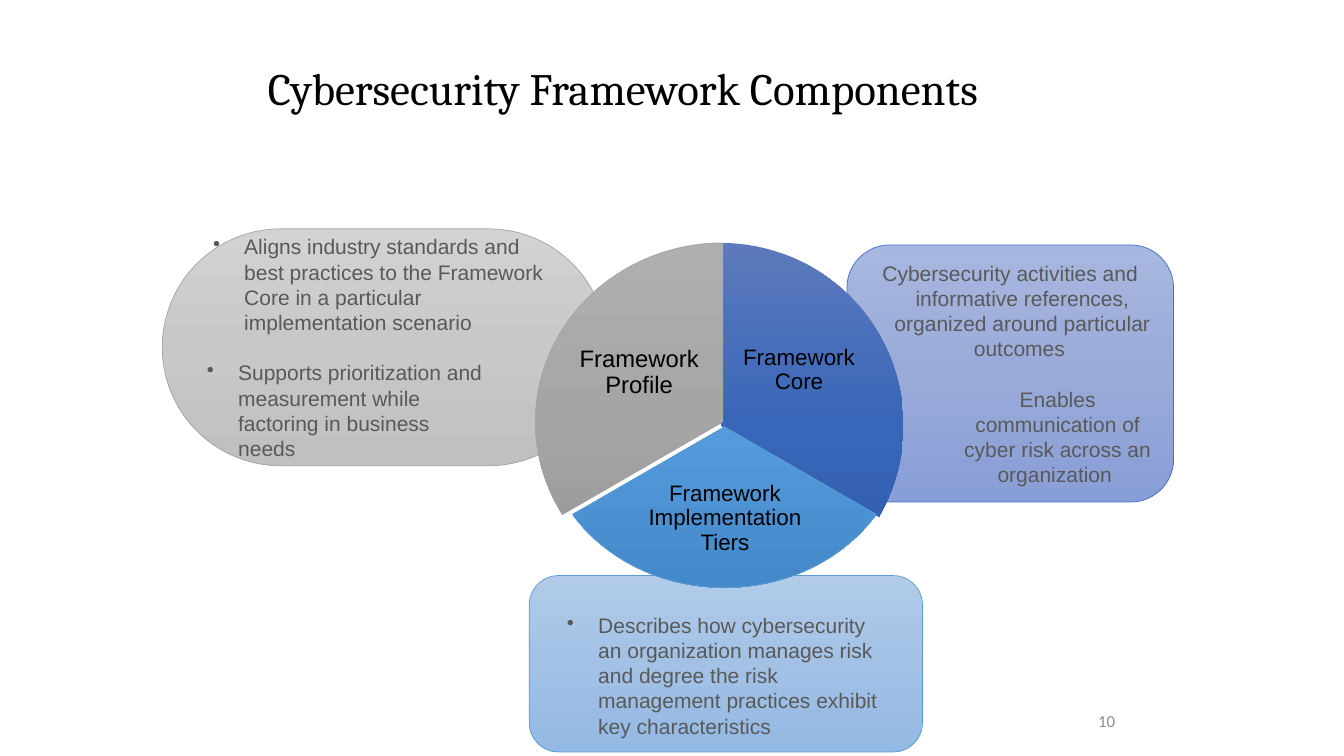
from copy import deepcopy

from lxml.etree import SubElement
from pptx import Presentation
from pptx.dml.color import RGBColor
from pptx.enum.shapes import MSO_SHAPE as SHAPE
from pptx.enum.text import MSO_ANCHOR as ANCHOR, PP_ALIGN as ALIGN
from pptx.oxml.ns import qn
from pptx.util import Inches, Pt

BLACK = RGBColor(0x00, 0x00, 0x00)
TEXT_GRAY = RGBColor(0x59, 0x59, 0x59)
NUMBER_GRAY = RGBColor(0x8C, 0x8C, 0x8C)
GRAY = RGBColor(0xA5, 0xA5, 0xA5)
LIGHT_BLUE = RGBColor(0x5B, 0x9B, 0xD5)
DARK_BLUE = RGBColor(0x44, 0x72, 0xC4)
TIERS_PALE = [RGBColor(0xB1, 0xCB, 0xE9), RGBColor(0xA3, 0xC1, 0xE5), RGBColor(0x93, 0xB9, 0xE4)]
PROFILE_PALE = [RGBColor(0xD2, 0xD2, 0xD2), RGBColor(0xC8, 0xC8, 0xC8), RGBColor(0xC0, 0xC0, 0xC0)]
CORE_PALE = [RGBColor(0xA8, 0xB7, 0xDF), RGBColor(0x9A, 0xAB, 0xD9), RGBColor(0x88, 0x9E, 0xD7)]
CORE_STRONG = [RGBColor(0x5C, 0x7A, 0xBD), RGBColor(0x38, 0x66, 0xB8), RGBColor(0x2D, 0x59, 0xA8)]
TIERS_STRONG = [RGBColor(0x71, 0xA6, 0xDB), RGBColor(0x55, 0x9B, 0xDB), RGBColor(0x44, 0x8A, 0xCA)]
PROFILE_STRONG = [RGBColor(0xAF, 0xAF, 0xAF), GRAY, RGBColor(0x93, 0x93, 0x93)]

prs = Presentation()
prs.slide_width, prs.slide_height = Inches(13.33), Inches(7.5)
slide = prs.slides.add_slide(prs.slide_layouts[6])


def add_gradient_shape(kind, box, adjustments, colors, line):
    """Add a shape with a three-stop gradient running from top to bottom."""
    s = slide.shapes.add_shape(kind, *map(Inches, box))
    s.shadow.inherit = False
    for i, value in enumerate(adjustments):
        s.adjustments[i] = value
    s.fill.gradient()
    s.fill.gradient_angle = 270
    stops = s._element.spPr.find(".//" + qn("a:gsLst"))
    stops.insert(1, deepcopy(stops[0]))
    for stop, position, color in zip(s.fill.gradient_stops, (0, 0.5, 1), colors):
        stop.position = position
        stop.color.rgb = color
    if line is None:
        s.line.fill.background()
    else:
        s.line.color.rgb = line
        s.line.width = Pt(0.5)
    return s


def write(s, paragraphs, size, font="Arial", color=BLACK, anchor=ANCHOR.MIDDLE,
          align=ALIGN.LEFT, spacing=None, bullet=False):
    """Fill a shape with (text, left margin, first-line indent) paragraphs."""
    tf = s.text_frame
    tf.word_wrap = True
    tf.vertical_anchor = anchor
    for i, (text, margin, indent) in enumerate(paragraphs):
        p = tf.add_paragraph() if i else tf.paragraphs[0]
        p.text = text
        p.alignment = align
        p.line_spacing = spacing
        if i:
            p.space_before = Pt(18)
        pPr = p._p.get_or_add_pPr()
        pPr.set("marL", str(Inches(margin)))
        pPr.set("indent", str(Inches(indent)))
        if bullet:
            SubElement(pPr, qn("a:buChar")).set("char", "•")
        for r in p.runs:
            for name, value in {"size": Pt(size), "name": font}.items():
                setattr(r.font, name, value)
            r.font.color.rgb = color
        for br in p._p.findall(qn("a:br")):
            br.insert(0, deepcopy(p.runs[0]._r.rPr))


title = slide.shapes.add_textbox(*map(Inches, (2.56, 0.28, 8.67, 1.25)))
write(title, [("Cybersecurity Framework Components", 0, 0)], 32, "Cambria", spacing=0.9)

# Description panels
panels = [
    ((5.25, 5.71, 3.9, 1.75), [], TIERS_PALE, LIGHT_BLUE,
     [("Describes how cybersecurity \van organization manages risk \vand degree the risk "
       "management practices exhibit key characteristics", 0.5, -0.31)],
     {"anchor": ANCHOR.BOTTOM, "bullet": True}),
    ((1.61, 2.27, 4.41, 2.35), [0.5], PROFILE_PALE, GRAY,
     [("Aligns industry standards and best practices to the Framework Core in a particular "
       "implementation scenario", 0.37, -0.31),
      ("Supports prioritization and measurement while \vfactoring in business \vneeds", 0.31, -0.31)],
     {"bullet": True}),
    ((8.4, 2.43, 3.24, 2.55), [], CORE_PALE, DARK_BLUE,
     [("Cybersecurity activities and informative references, organized around particular "
       "outcomes ", 0.24, -0.24),
      ("Enables communication of cyber risk across an organization ", 0.94, 0)],
     {"align": ALIGN.CENTER}),
]
for box, adjustments, colors, line, paragraphs, style in panels:
    s = add_gradient_shape(SHAPE.ROUNDED_RECTANGLE, box, adjustments, colors, line)
    write(s, paragraphs, 15, color=TEXT_GRAY, **style)

# Pie slices with their labels; angles in degrees clockwise from three o'clock
slices = [
    ((5.34, 2.41, 3.62, 3.62), (270, 30), CORE_STRONG, None,
     "Framework Core", (7.31, 3.07, 1.23, 1.21), 16),
    ((5.39, 2.64, 3.59, 3.19), (30, 150), TIERS_STRONG, LIGHT_BLUE,
     "Framework Implementation Tiers", (6.38, 4.65, 1.62, 0.99), 16),
    ((5.31, 2.41, 3.72, 3.55), (150, 270), PROFILE_STRONG, GRAY,
     "Framework Profile", (5.71, 3.11, 1.26, 1.18), 17),
]
for box, angles, colors, line, text, label_box, size in slices:
    add_gradient_shape(SHAPE.PIE, box, [angle * 0.6 for angle in angles], colors, line)
    label = slide.shapes.add_textbox(*map(Inches, label_box))
    for side in ("left", "top", "right", "bottom"):
        setattr(label.text_frame, f"margin_{side}", Inches(0.02))
    write(label, [(text, 0, 0)], size, align=ALIGN.CENTER, spacing=0.9)

number = slide.shapes.add_textbox(*map(Inches, (8.83, 6.95, 2.33, 0.4)))
write(number, [("10", 0, 0)], 12, "Calibri", NUMBER_GRAY, align=ALIGN.RIGHT)

prs.save("out.pptx")
